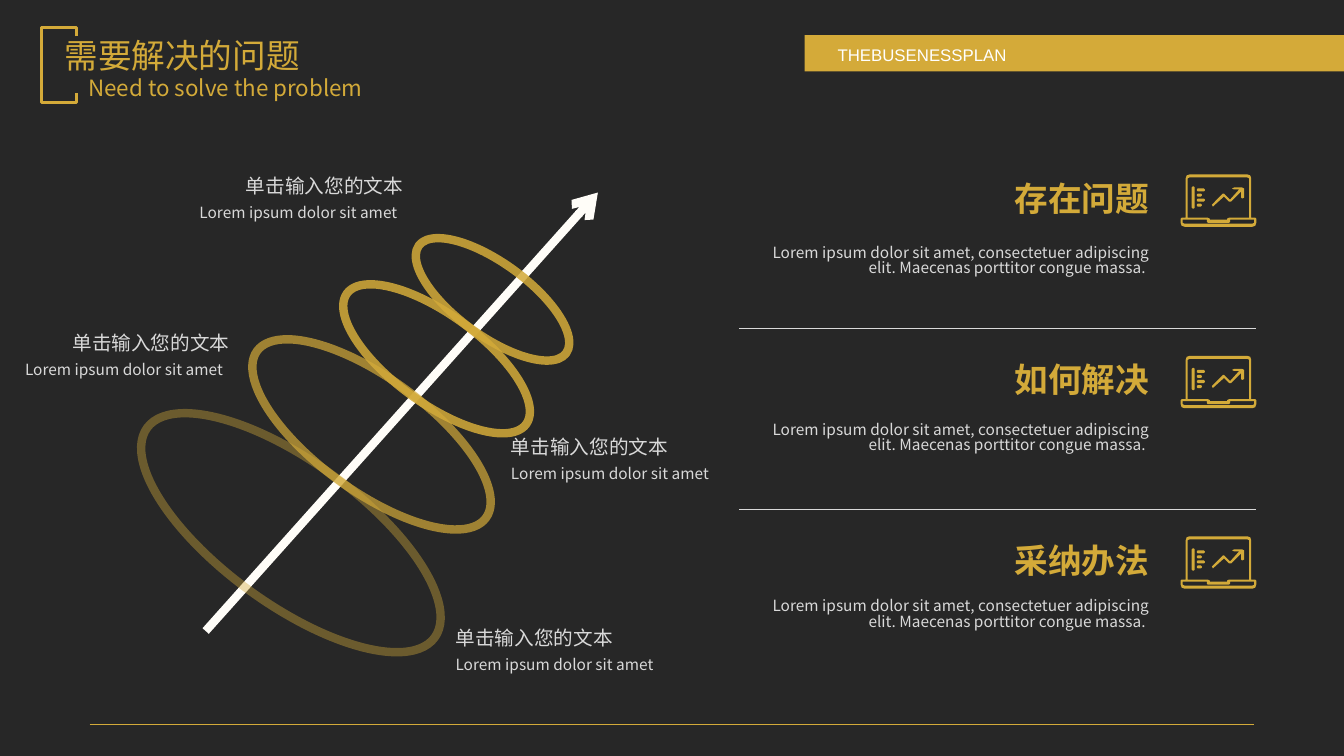
"""Build the slide about the problem to solve, with a ringed arrow and three sections."""
from lxml import etree
from pptx import Presentation
from pptx import util as u
from pptx.dml.color import RGBColor
from pptx.enum import shapes, text
from pptx.oxml.ns import qn

PX = 9144
GOLD, BANNER_GOLD, DARK, PALE = "D3AA39", "D4AA39", "272727", "D9D9D9"
ARROW_WHITE, WHITE = "FFFDF8", "FFFFFF"
CJK_FONT = "Noto Sans CJK SC"
ALIGN = text.PP_ALIGN

TITLE = "需要解决的问题"
SUBTITLE = "Need to solve the problem"
BANNER = "THEBUSENESSPLAN"
SECTIONS = ["存在问题", "如何解决", "采纳办法"]
SECTION_BODY = ("Lorem ipsum dolor sit amet, consectetuer adipiscing elit. "
                "Maecenas porttitor congue massa. ")
SECTION_PITCH, BODY_PITCH = 179.5, 175.5
LABEL, LABEL_BODY = "单击输入您的文本", "Lorem ipsum dolor sit amet"
LABELS = [(234, 172, -46), (62, 327, -47), (497, 431, 0), (442, 620, 0)]
RINGS = [(112, 458, 353, 141, 40), (228, 375, 281, 112, 70),
         (323, 312, 220, 88, 85), (398, 261, 181, 72, 85)]
RING_ANGLE = 36.1
BRACKET = [(76, 36), (76, 27), (41, 27), (41, 102), (76, 102), (76, 92)]


def pill(left, top, right, bottom):
    """Return the corners of a bar with cut corners."""
    return [(left + 1, top), (right - 1, top), (right, top + 1), (right, bottom - 1),
            (right - 1, bottom), (left + 1, bottom), (left, bottom - 1), (left, top + 1)]


LAPTOP = [
    [(9, 0), (66, 0), (69, 1), (70, 4), (70, 43), (74, 43), (75, 44), (75, 48), (74, 51),
     (71, 52), (4, 52), (1, 51), (0, 48), (0, 44), (1, 43), (5, 43), (5, 4), (6, 1)],
    [(9, 3), (7, 4), (7, 43), (27, 43), (29, 44), (29, 45), (46, 45), (46, 44),
     (48, 43), (68, 43), (68, 4), (66, 3)],
    [(2, 45), (2, 48), (4, 49), (71, 49), (73, 48), (73, 45), (49, 45), (49, 47),
     (48, 48), (27, 48), (26, 47), (26, 45)],
    [(53, 13), (61, 13), (63, 14), (63, 23), (61, 24), (60, 23), (60, 17), (50, 27),
     (48, 27), (43, 22), (33, 31), (32, 32), (31, 30), (42, 19), (43, 19), (49, 25),
     (58, 15), (53, 15), (51, 14)],
    pill(11, 12, 14, 34),
    *[pill(16, top, right, top + 3) for top, right in zip((14, 19, 24, 29), (24, 21) * 2)],
]


def px(*lengths):
    """Turn px lengths into EMU."""
    return [u.Emu(round(length * PX)) for length in lengths]


def color(value):
    """Turn a hex string into a colour."""
    return RGBColor.from_string(value)


def fill(shape, value):
    """Give a shape a solid fill without line or shadow."""
    shape.shadow.inherit = False
    shape.fill.solid()
    shape.fill.fore_color.rgb = color(value)
    shape.line.fill.background()


def stroke(shape, value, width):
    """Give a shape a solid line."""
    shape.line.color.rgb = color(value)
    shape.line.width = u.Pt(width)


def write(shape, words, size, value, align=ALIGN.LEFT, bold=False, font=CJK_FONT,
          wrap=True, spacing=0.83):
    """Write one formatted paragraph into a shape."""
    frame = shape.text_frame
    frame.text = words
    frame.word_wrap = wrap
    frame.auto_size = text.MSO_AUTO_SIZE.NONE
    frame.vertical_anchor = text.MSO_ANCHOR.TOP
    paragraph = frame.paragraphs[0]
    paragraph.alignment = align
    paragraph.line_spacing = spacing
    paragraph.font.name = font
    paragraph.font.size = u.Pt(size)
    paragraph.font.bold = bold
    paragraph.font.color.rgb = color(value)
    properties = paragraph.font._element
    properties.find(qn("a:latin")).addnext(
        properties.makeelement(qn("a:ea"), {"typeface": font}))


def add_text(slide, box, *args, **options):
    """Add a text box."""
    write(slide.shapes.add_textbox(*px(*box)), *args, **options)


def add_line(parent, ends, value, width):
    """Add a straight line without shadow."""
    line = parent.shapes.add_connector(shapes.MSO_CONNECTOR.STRAIGHT, *px(*ends))
    stroke(line, value, width)
    etree.SubElement(line._element.spPr, qn("a:effectLst"))
    return line


def add_outline(slide, contours, left=0, top=0, close=True):
    """Add a freeform made of one or more contours."""
    first, *others = contours
    builder = slide.shapes.build_freeform(*first[0], scale=PX)
    builder.add_line_segments(first[1:], close=close)
    for contour in others:
        builder.move_to(*contour[0])
        builder.add_line_segments(contour[1:], close=close)
    shape = builder.convert_to_shape(*px(left, top))
    shape.shadow.inherit = False
    return shape


def add_header(slide):
    """Add the banner, the bracket, the titles and the bottom rule."""
    banner = slide.shapes.add_shape(shapes.MSO_SHAPE.RECTANGLE, *px(798, 35, 535, 36))
    fill(banner, BANNER_GOLD)
    add_text(slide, (821, 39, 490, 30), BANNER, 12, WHITE, ALIGN.JUSTIFY,
             font="Arial", spacing=1.0)
    add_line(slide, (89, 719, 1244, 719), GOLD, 0.5)
    bracket = add_outline(slide, [BRACKET], close=False)
    bracket.fill.background()
    stroke(bracket, BANNER_GOLD, 2.25)
    title = slide.shapes.title
    title.left, title.top, title.width, title.height = px(54, 36, 259, 50)
    write(title, TITLE, 24, GOLD)
    add_text(slide, (78, 73, 303, 64), SUBTITLE, 16, GOLD)


def add_spiral(slide):
    """Add the arrow with its rings."""
    group = slide.shapes.add_group_shape()
    arrow = add_line(group, (204, 626, 593, 191), ARROW_WHITE, 6)
    etree.SubElement(arrow.line._get_or_add_ln(), qn("a:tailEnd"), type="arrow")
    for *box, opacity in RINGS:
        ring = group.shapes.add_shape(shapes.MSO_SHAPE.OVAL, *px(*box))
        ring.shadow.inherit = False
        ring.rotation = RING_ANGLE
        ring.fill.background()
        stroke(ring, GOLD, 6)
        shade = ring.line._get_or_add_ln().find(".//" + qn("a:srgbClr"))
        etree.SubElement(shade, qn("a:alpha"), val=str(opacity * 1000))


def add_sections(slide):
    """Add the three sections with icons and dividers."""
    for index, heading in enumerate(SECTIONS):
        shift = round(index * SECTION_PITCH)
        if index:
            add_line(slide, (733, 146 + shift, 1246, 146 + shift), PALE, 0.25)
        fill(add_outline(slide, LAPTOP, 1171, 173 + shift), GOLD)
        add_text(slide, (975, 178 + shift, 196, 50), heading, 24, GOLD,
                 ALIGN.CENTER, bold=True)
        add_text(slide, (737, 239 + round(index * BODY_PITCH), 413, 47),
                 SECTION_BODY, 11, PALE, ALIGN.RIGHT)


def add_labels(slide):
    """Add the ring labels."""
    for left, top, indent in LABELS:
        add_text(slide, (left, top, 177, 34), LABEL, 14, PALE, wrap=False)
        add_text(slide, (left + indent, top + 28, 234, 29), LABEL_BODY, 11, PALE)


def main():
    """Build and save the presentation."""
    presentation = Presentation()
    presentation.slide_width, presentation.slide_height = px(1333, 750)
    slide = presentation.slides.add_slide(presentation.slide_layouts[5])
    slide.background.fill.solid()
    slide.background.fill.fore_color.rgb = color(DARK)
    add_header(slide)
    add_spiral(slide)
    add_sections(slide)
    add_labels(slide)
    presentation.save("out.pptx")


if __name__ == "__main__":
    main()
